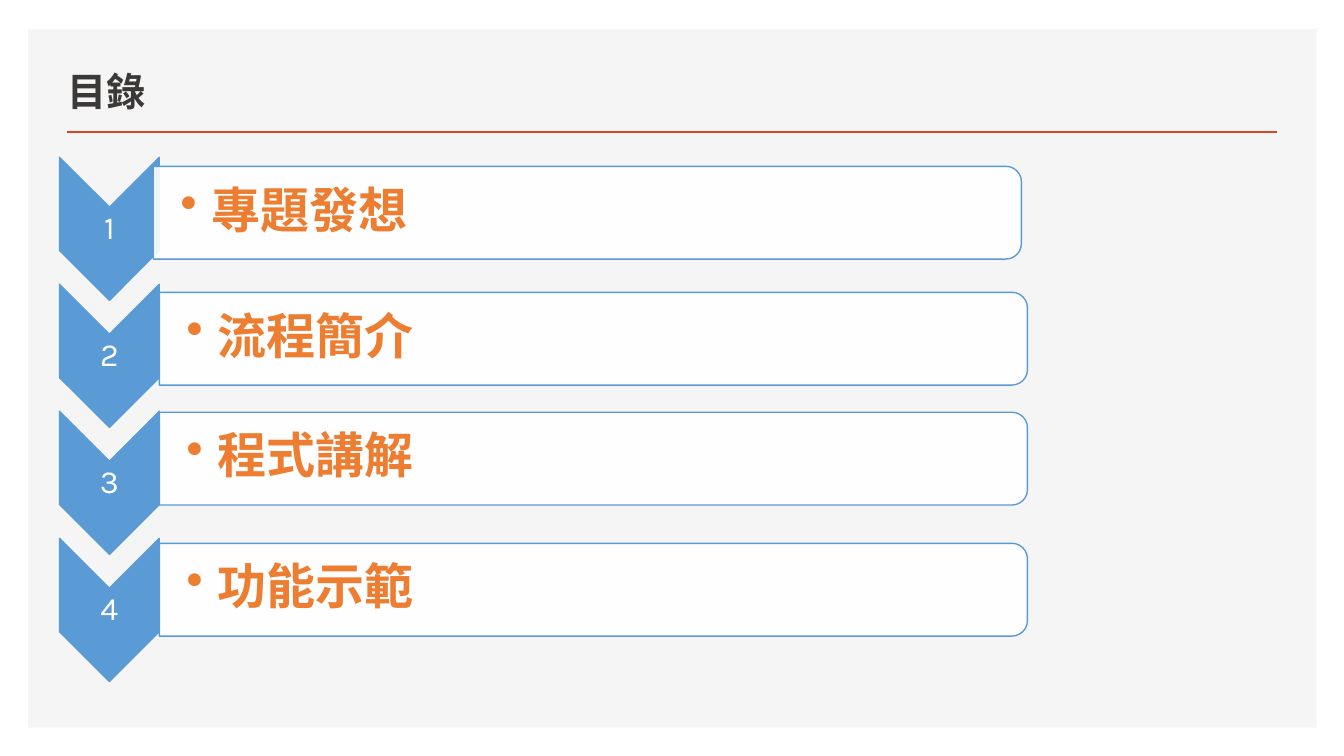
from lxml import etree
from pptx import Presentation
from pptx.dml.color import RGBColor
from pptx.enum.shapes import MSO_CONNECTOR, MSO_SHAPE
from pptx.enum.text import MSO_ANCHOR, PP_ALIGN
from pptx.oxml.ns import qn
from pptx.util import Inches, Pt

STRAIGHT = MSO_CONNECTOR.STRAIGHT
RECTANGLE = MSO_SHAPE.RECTANGLE
CHEVRON = MSO_SHAPE.CHEVRON
ROUND_TOP = MSO_SHAPE.ROUND_2_SAME_RECTANGLE
MIDDLE, BOTTOM = MSO_ANCHOR.MIDDLE, MSO_ANCHOR.BOTTOM
LEFT, CENTER = PP_ALIGN.LEFT, PP_ALIGN.CENTER

COLORS = {
    "backdrop": "F5F5F5",
    "rule": "D24726",
    "title": "3B3838",
    "blue": "5B9BD5",
    "white": "FFFFFF",
    "topic": "ED7D31",
}
CJK_FONT = "Noto Sans CJK TC"
BODY_FONT = "Karla"

# Topic, left and top of its panel
TOPICS = [
    ("專題發想", 1.52, 1.65),
    ("流程簡介", 1.58, 2.9),
    ("程式講解", 1.58, 4.09),
    ("功能示範", 1.58, 5.39),
]
ARROW_LEFT, ARROW_TOP, ARROW_PITCH = 0.59, 1.56, 1.26
ARROW_WIDTH, ARROW_HEIGHT = 0.99, 1.42
PANEL_WIDTH, PANEL_HEIGHT = 8.61, 0.92


def rgb(name):
    return RGBColor.from_string(COLORS[name])


def add_filled(slide, kind, box, fill, outline=None):
    shape = slide.shapes.add_shape(kind, *map(Inches, box))
    shape.shadow.inherit = False
    shape.fill.solid()
    shape.fill.fore_color.rgb = rgb(fill)
    if outline:
        shape.line.color.rgb = rgb(outline)
        shape.line.width = Pt(1)
    else:
        shape.line.fill.background()
    return shape


def add_turned(slide, kind, box, fill, outline):
    """Fill the box with a shape turned a quarter clockwise."""
    left, top, width, height = box
    shift = (width - height) / 2
    shape = add_filled(slide, kind, (left + shift, top - shift, height, width),
                       fill, outline)
    shape.rotation = 90
    return shape


def add_text(slide, box, text, size, color, font=BODY_FONT, bold=False, align=LEFT,
             anchor=MIDDLE, insets=(0.02, 0.02, 0.02, 0.02), bullet=False):
    frame = slide.shapes.add_textbox(*map(Inches, box)).text_frame
    frame.word_wrap = True
    frame.vertical_anchor = anchor
    (frame.margin_left, frame.margin_top,
     frame.margin_right, frame.margin_bottom) = map(Inches, insets)
    paragraph = frame.paragraphs[0]
    paragraph.text = text
    paragraph.alignment = align
    paragraph.line_spacing = 0.9
    if bullet:
        properties = paragraph._p.get_or_add_pPr()
        properties.set("marL", str(Inches(0.31)))
        properties.set("indent", str(-Inches(0.31)))
        etree.SubElement(properties, qn("a:buChar")).set("char", "•")
    paragraph.font.size = Pt(size)
    paragraph.font.bold = bold
    paragraph.font.color.rgb = rgb(color)
    paragraph.font.name = font
    east_asian = etree.SubElement(paragraph.font._element, qn("a:ea"))
    east_asian.set("typeface", CJK_FONT)


def add_header(slide, box):
    left, top, width, height = box
    rule_y = Inches(top + height)
    rule = slide.shapes.add_connector(STRAIGHT, Inches(left), rule_y,
                                      Inches(left + width), rule_y)
    rule.line.color.rgb = rgb("rule")
    rule.line.width = Pt(2)
    etree.SubElement(rule._element.spPr, qn("a:effectLst"))
    add_text(slide, (left - 0.09, top, 7.52, 0.7), "目錄", 28, "title", font=CJK_FONT,
             bold=True, anchor=BOTTOM, insets=(0.1, 0.05, 0.1, 0.05))


def add_arrow(slide, box, number):
    left, top, width, height = box
    add_turned(slide, CHEVRON, box, "blue", "blue")
    add_text(slide, (left, top + width / 2, width, height - width),
             str(number), 23, "white", align=CENTER)


def add_panel(slide, box, topic):
    left, top, width, height = box
    panel = add_turned(slide, ROUND_TOP, box, "white", "blue")
    fill_color = panel.fill._xPr.find(qn("a:solidFill"))[0]
    etree.SubElement(fill_color, qn("a:alpha")).set("val", "90000")
    add_text(slide, (left, top + 0.04, width - 0.04, height - 0.09), topic, 35, "topic",
             bold=True, insets=(0.27, 0.02, 0.02, 0.02), bullet=True)


def add_contents(slide):
    for index, (topic, panel_left, panel_top) in enumerate(TOPICS):
        arrow_top = ARROW_TOP + index * ARROW_PITCH
        add_arrow(slide, (ARROW_LEFT, arrow_top, ARROW_WIDTH, ARROW_HEIGHT), index + 1)
        add_panel(slide, (panel_left, panel_top, PANEL_WIDTH, PANEL_HEIGHT), topic)


def main():
    deck = Presentation()
    deck.slide_width, deck.slide_height = Inches(13.33), Inches(7.5)
    slide = deck.slides.add_slide(deck.slide_layouts[6])
    add_filled(slide, RECTANGLE, (0.28, 0.29, 12.78, 6.93), "backdrop")
    add_header(slide, (0.66, 0.49, 12.01, 0.82))
    add_contents(slide)
    deck.save("out.pptx")


if __name__ == "__main__":
    main()
